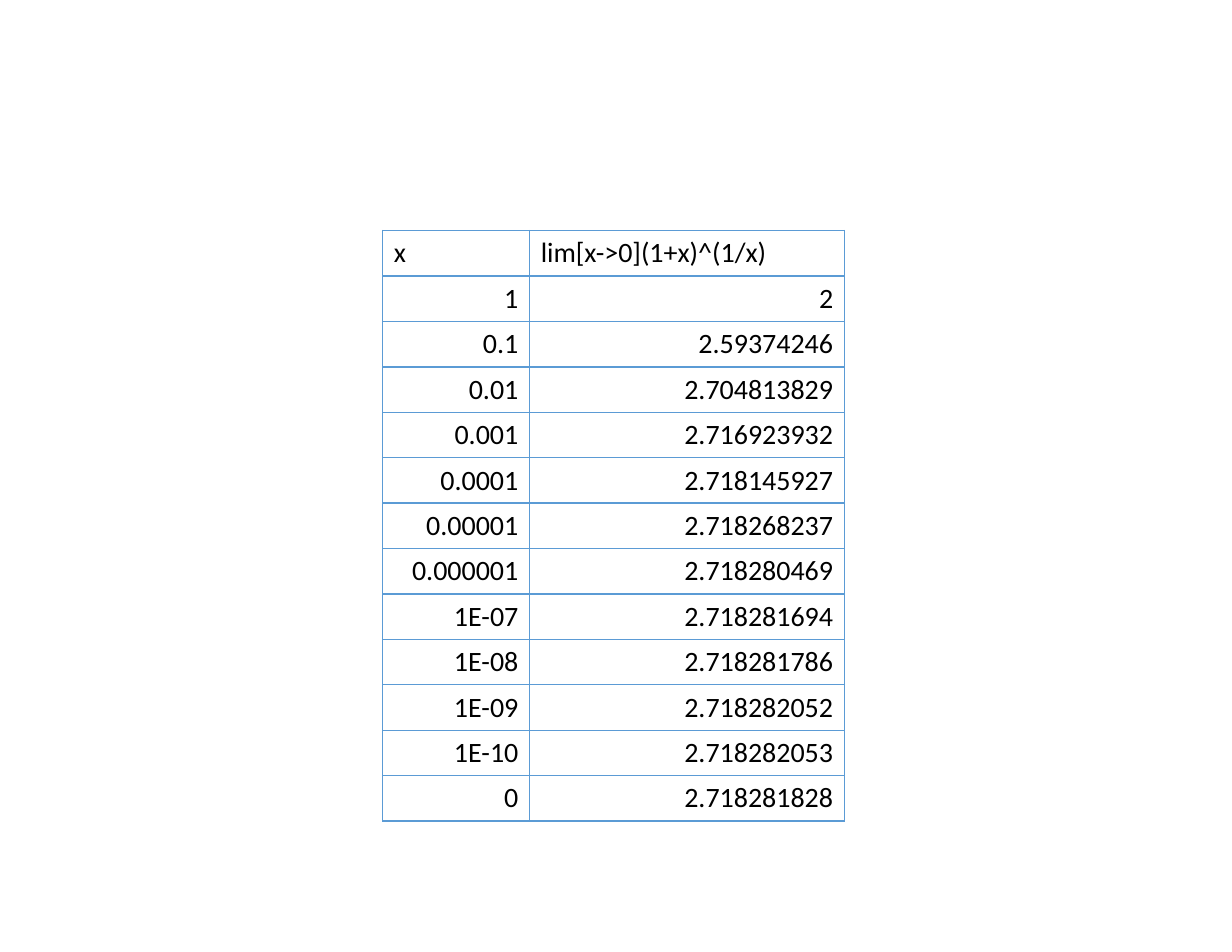
from lxml.etree import SubElement
from pptx import Presentation
from pptx.dml.color import RGBColor
from pptx.enum.text import MSO_ANCHOR, PP_ALIGN
from pptx.oxml.ns import qn
from pptx.util import Cm, Pt

HEADER = ("x", "lim[x->0](1+x)^(1/x)")
VALUES = [
    ("1", "2"),
    ("0.1", "2.59374246"),
    ("0.01", "2.704813829"),
    ("0.001", "2.716923932"),
    ("0.0001", "2.718145927"),
    ("0.00001", "2.718268237"),
    ("0.000001", "2.718280469"),
    ("1E-07", "2.718281694"),
    ("1E-08", "2.718281786"),
    ("1E-09", "2.718282052"),
    ("1E-10", "2.718282053"),
    ("0", "2.718281828"),
]
COLORS = {"text": "000000", "border": "5B9BD5"}
FONT = {"name": "Calibri", "size": Pt(18), "bold": False}
COLUMN_WIDTHS = [Cm(3.33), Cm(7.14)]
ROW_HEIGHT = Cm(1.02)
TABLE_LEFT, TABLE_TOP = Cm(8.68), Cm(5.23)
BORDER_WIDTH = Pt(1)


def add_borders(cell):
    properties = cell._tc.get_or_add_tcPr()
    for side in ("lnL", "lnR", "lnT", "lnB"):
        line = SubElement(properties, qn(f"a:{side}"), w=str(BORDER_WIDTH))
        fill = SubElement(line, qn("a:solidFill"))
        SubElement(fill, qn("a:srgbClr"), val=COLORS["border"])


def write_cell(cell, text, alignment):
    add_borders(cell)
    cell.fill.background()
    cell.vertical_anchor = MSO_ANCHOR.BOTTOM
    para = cell.text_frame.paragraphs[0]
    para.alignment = alignment
    span = para.add_run()
    span.text = text
    for name, value in FONT.items():
        setattr(span.font, name, value)
    span.font.color.rgb = RGBColor.from_string(COLORS["text"])


def main():
    deck = Presentation()
    deck.slide_width, deck.slide_height = Cm(27.94), Cm(21.59)
    page = deck.slides.add_slide(deck.slide_layouts[6])

    rows = [HEADER, *VALUES]
    table = page.shapes.add_table(
        len(rows), len(HEADER), TABLE_LEFT, TABLE_TOP,
        sum(COLUMN_WIDTHS), ROW_HEIGHT * len(rows),
    ).table
    table.first_row = table.horz_banding = False
    for column, width in zip(table.columns, COLUMN_WIDTHS):
        column.width = width
    for r, texts in enumerate(rows):
        table.rows[r].height = ROW_HEIGHT
        alignment = PP_ALIGN.RIGHT if r else PP_ALIGN.LEFT
        for c, text in enumerate(texts):
            write_cell(table.cell(r, c), text, alignment)

    deck.save("out.pptx")


if __name__ == "__main__":
    main()
